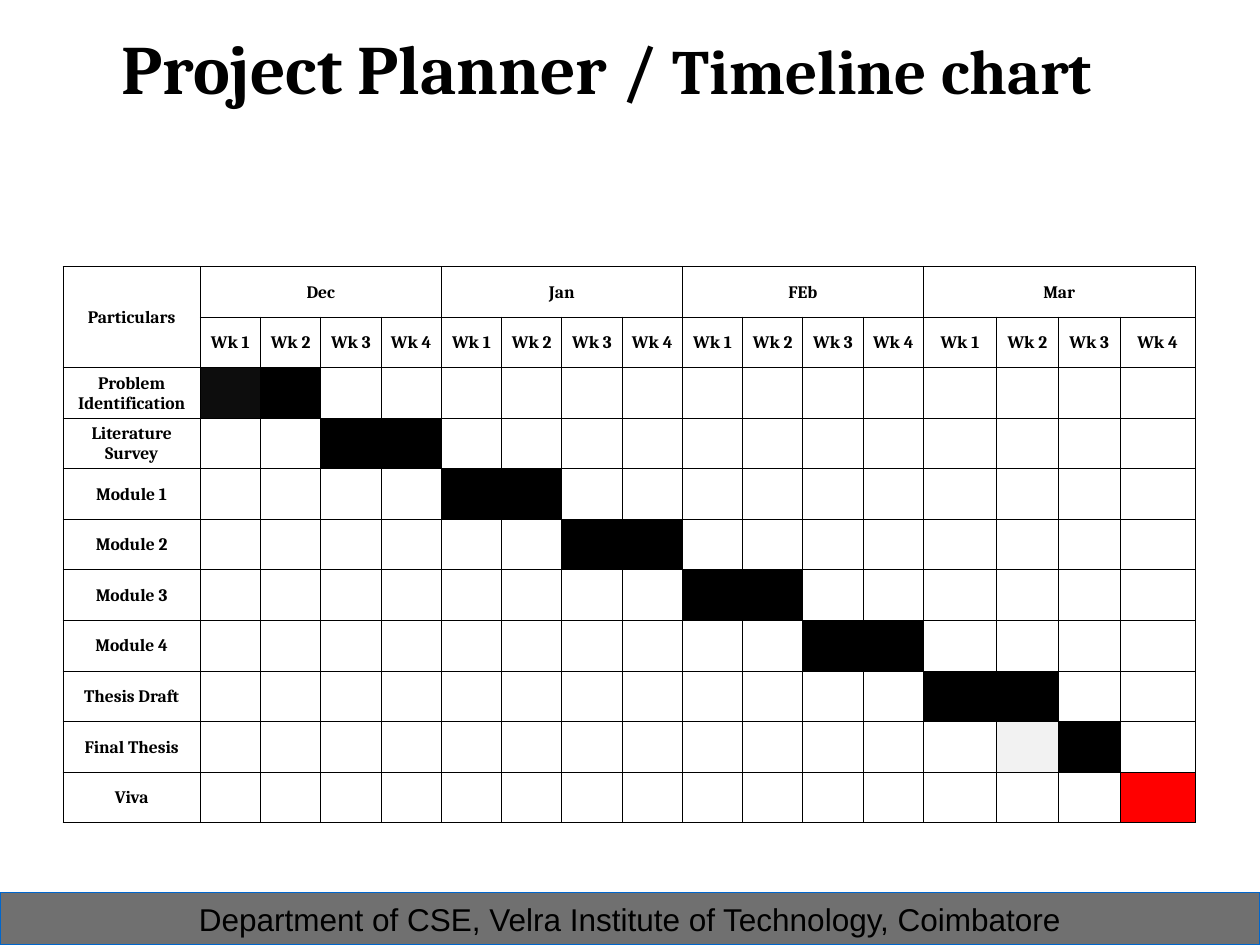
from dataclasses import dataclass
from lxml.etree import SubElement
from pptx import Presentation
from pptx.dml.color import RGBColor
from pptx.enum.shapes import MSO_SHAPE as Shape
from pptx.enum.text import MSO_ANCHOR as Anchor, PP_ALIGN as Align
from pptx.oxml.ns import qn
from pptx.util import Pt


@dataclass(frozen=True)
class Theme:
    ink: str = "000000"
    paper: str = "FFFFFF"
    soft_black: str = "0D0D0D"
    pale: str = "F2F2F2"
    alert: str = "FF0000"
    band: str = "707070"
    band_edge: str = "0066CC"
    serif: str = "Cambria"
    sans: str = "Arial"
    title_size: float = 39.6
    subtitle_size: float = 36
    footer_size: float = 18
    table_size: float = 10


THEME = Theme()
MONTHS = ["Dec", "Jan", "FEb", "Mar"]
WEEKS_PER_MONTH = 4
WEEK_WIDTHS = [34.46] * 12 + [41.7, 35.4, 35.3, 42.8]
LABEL_WIDTH = 78.4
ROW_HEIGHT = 28.9
PLAN = [
    ("Problem Identification", {1: THEME.soft_black, 2: THEME.ink}),
    ("Literature Survey", {3: THEME.ink, 4: THEME.ink}),
    ("Module 1", {5: THEME.ink, 6: THEME.ink}),
    ("Module 2", {7: THEME.ink, 8: THEME.ink}),
    ("Module 3", {9: THEME.ink, 10: THEME.ink}),
    ("Module 4", {11: THEME.ink, 12: THEME.ink}),
    ("Thesis Draft", {13: THEME.ink, 14: THEME.ink}),
    ("Final Thesis", {14: THEME.pale, 15: THEME.ink}),
    ("Viva", {16: THEME.alert}),
]


def add_run(paragraph, words, size, font, bold=False):
    run = paragraph.add_run()
    run.text = words
    run.font.size = Pt(size)
    run.font.name = font
    run.font.bold = bold
    run.font.color.rgb = RGBColor.from_string(THEME.ink)


def add_title(slide):
    title = slide.shapes.add_textbox(Pt(36), Pt(15.1), Pt(648), Pt(46.1))
    frame = title.text_frame
    frame.word_wrap = True
    frame.vertical_anchor = Anchor.MIDDLE
    frame.margin_left = Pt(33.5)
    frame.margin_right = frame.margin_top = frame.margin_bottom = 0
    heading = frame.paragraphs[0]
    add_run(heading, "Project Planner / ", THEME.title_size, THEME.serif, True)
    add_run(heading, "Timeline chart", THEME.subtitle_size, THEME.serif, True)


def add_footer(slide):
    footer = slide.shapes.add_shape(Shape.RECTANGLE, 0, Pt(510), Pt(720), Pt(30))
    footer.shadow.inherit = False
    footer.fill.solid()
    footer.fill.fore_color.rgb = RGBColor.from_string(THEME.band)
    footer.line.color.rgb = RGBColor.from_string(THEME.band_edge)
    footer.line.width = Pt(0.75)
    frame = footer.text_frame
    frame.word_wrap = True
    frame.vertical_anchor = Anchor.MIDDLE
    department = frame.paragraphs[0]
    department.alignment = Align.CENTER
    add_run(department, "Department of CSE, Velra Institute of Technology, Coimbatore",
            THEME.footer_size, THEME.sans)


def style_cell(cell, color):
    cell.margin_left = cell.margin_right = cell.margin_top = Pt(0.7)
    cell.margin_bottom = 0
    cell.vertical_anchor = Anchor.MIDDLE
    cell.text_frame.paragraphs[0].font.size = Pt(THEME.table_size)
    properties = cell._tc.get_or_add_tcPr()
    for side in ("a:lnL", "a:lnR", "a:lnT", "a:lnB"):
        edge = SubElement(properties, qn(side), w=str(Pt(0.5)))
        paint = SubElement(edge, qn("a:solidFill"))
        SubElement(paint, qn("a:srgbClr"), val=THEME.ink)
    cell.fill.solid()
    cell.fill.fore_color.rgb = RGBColor.from_string(color)


def label_cell(cell, words):
    label = cell.text_frame.paragraphs[0]
    label.alignment = Align.CENTER
    add_run(label, words, THEME.table_size, THEME.serif, True)


def add_timeline(slide):
    widths = [LABEL_WIDTH] + WEEK_WIDTHS
    row_count = len(PLAN) + 2
    timeline = slide.shapes.add_table(
        row_count, len(widths), Pt(36), Pt(152.3),
        Pt(sum(widths)), Pt(ROW_HEIGHT * row_count)).table
    timeline.first_row = timeline.horz_banding = False
    for column, width in zip(timeline.columns, widths):
        column.width = Pt(width)

    busy_weeks = [{}, {}] + [weeks for _, weeks in PLAN]
    for index, weeks in enumerate(busy_weeks):
        timeline.rows[index].height = Pt(ROW_HEIGHT)
        for week in range(len(widths)):
            style_cell(timeline.cell(index, week), weeks.get(week, THEME.paper))

    timeline.cell(0, 0).merge(timeline.cell(1, 0))
    label_cell(timeline.cell(0, 0), "Particulars")
    for index, month in enumerate(MONTHS):
        first = 1 + index * WEEKS_PER_MONTH
        timeline.cell(0, first).merge(timeline.cell(0, first + WEEKS_PER_MONTH - 1))
        label_cell(timeline.cell(0, first), month)
        for week in range(WEEKS_PER_MONTH):
            label_cell(timeline.cell(1, first + week), f"Wk {week + 1}")
    for index, (task, _) in enumerate(PLAN, start=2):
        label_cell(timeline.cell(index, 0), task)


def main():
    deck = Presentation()
    deck.slide_width, deck.slide_height = Pt(720), Pt(540)
    slide = deck.slides.add_slide(deck.slide_layouts[6])
    add_title(slide)
    add_footer(slide)
    add_timeline(slide)
    deck.save("out.pptx")


main()
